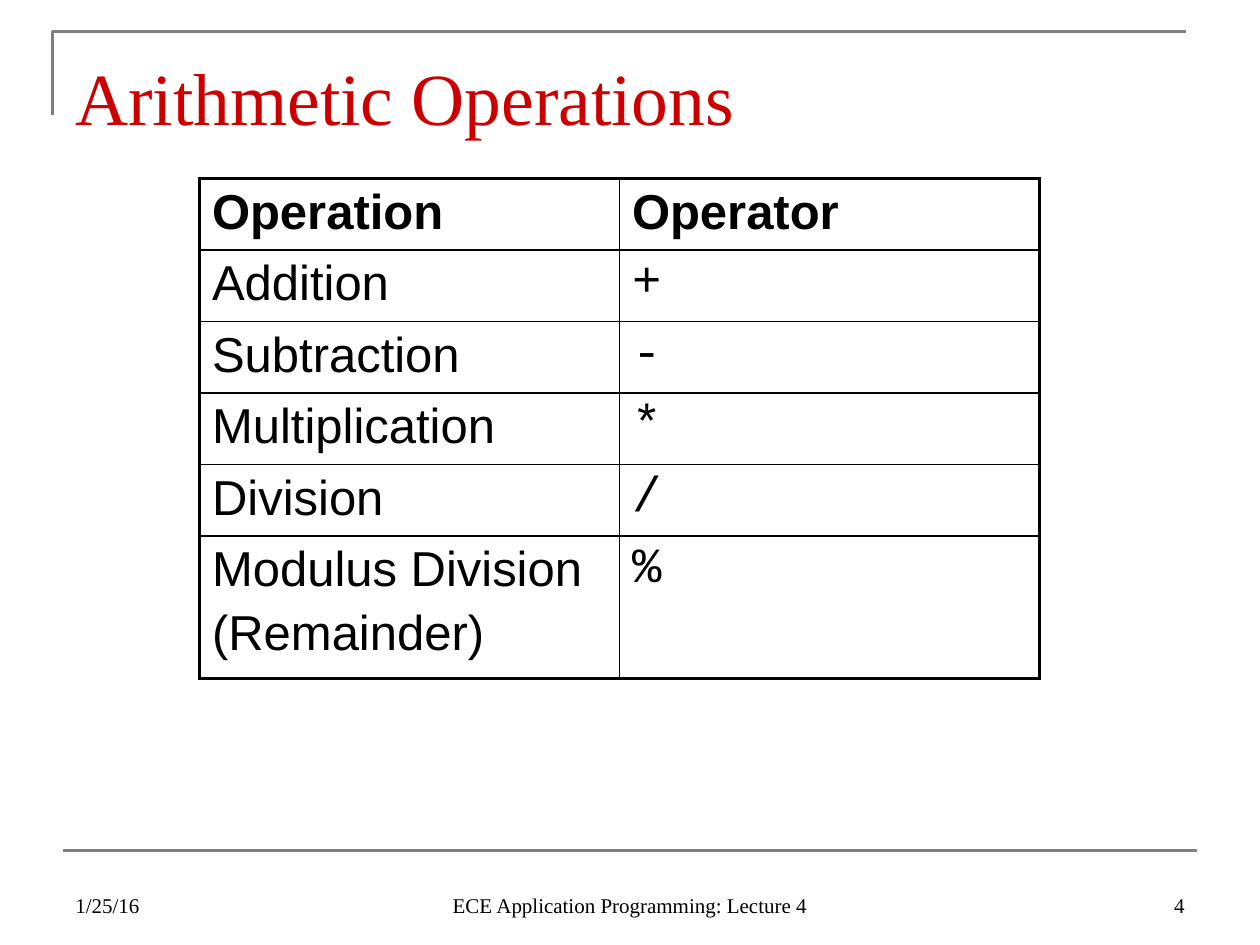
from lxml.etree import SubElement
from pptx import Presentation
from pptx.dml.color import RGBColor
from pptx.enum.shapes import MSO_CONNECTOR
from pptx.enum.text import MSO_ANCHOR, PP_ALIGN
from pptx.oxml.ns import qn
from pptx.util import Pt

COLORS = {"text": "000000", "title": "CC0000", "rule": "808080", "border": "000000"}
SERIF, SANS, MONO = "Times New Roman", "Arial", "Courier New"
TITLE = {"name": SERIF, "size": Pt(42)}
FOOTER = {"name": SERIF, "size": Pt(12)}
HEADER = {"name": SANS, "size": Pt(28), "bold": True}
LABEL = {"name": SANS, "size": Pt(28), "bold": False}
SYMBOL = {"name": MONO, "size": Pt(28), "bold": False}
ROWS = [
    ("Operation", "Operator"),
    ("Addition", "+"),
    ("Subtraction", "-"),
    ("Multiplication", "*"),
    ("Division", "/"),
    ("Modulus Division\n(Remainder)", "%"),
]


class SlideBuilder:
    def __init__(self, deck):
        self.page = deck.slides.add_slide(deck.slide_layouts[6])

    def paragraphs(self, frame, text, style, color="text", align=PP_ALIGN.LEFT):
        for index, line in enumerate(text.split("\n")):
            para = frame.add_paragraph() if index else frame.paragraphs[0]
            para.alignment = align
            if index:
                para.space_before = Pt(5.6)
            span = para.add_run()
            span.text = line
            for name, value in style.items():
                setattr(span.font, name, value)
            span.font.color.rgb = RGBColor.from_string(COLORS[color])

    def text(self, area, text, style, color="text", align=PP_ALIGN.LEFT,
             anchor=MSO_ANCHOR.BOTTOM, inset=3.6):
        box = self.page.shapes.add_textbox(*map(Pt, area))
        frame = box.text_frame
        frame.word_wrap = True
        frame.vertical_anchor = anchor
        frame.margin_top = Pt(inset)
        self.paragraphs(frame, text, style, color, align)

    def stroke(self, line):
        line.color.rgb = RGBColor.from_string(COLORS["rule"])
        line.width = Pt(1.5)

    def rule(self, left, top, right, bottom):
        line = self.page.shapes.add_connector(
            MSO_CONNECTOR.STRAIGHT, *map(Pt, (left, top, right, bottom)))
        self.stroke(line.line)
        SubElement(line._element.spPr, qn("a:effectLst"))

    def outline(self, start, *points):
        builder = self.page.shapes.build_freeform(*map(Pt, start))
        builder.add_line_segments([tuple(map(Pt, point)) for point in points], close=False)
        shape = builder.convert_to_shape()
        shape.shadow.inherit = False
        shape.fill.background()
        self.stroke(shape.line)

    def borders(self, cell, widths):
        properties = cell._tc.get_or_add_tcPr()
        for side, width in widths.items():
            edge = SubElement(properties, qn(f"a:ln{side}"), w=str(Pt(width)))
            fill = SubElement(edge, qn("a:solidFill"))
            SubElement(fill, qn("a:srgbClr"), val=COLORS["border"])

    def table(self, left, top, rows, widths, heights):
        area = map(Pt, (left, top, sum(widths), sum(heights)))
        table = self.page.shapes.add_table(len(rows), len(widths), *area).table
        table.first_row = table.horz_banding = False
        for column, width in zip(table.columns, widths):
            column.width = Pt(width)
        last_row, last_column = len(rows) - 1, len(widths) - 1
        for r, values in enumerate(rows):
            table.rows[r].height = Pt(heights[r])
            for c, value in enumerate(values):
                cell = table.cell(r, c)
                style = HEADER if r == 0 else (LABEL, SYMBOL)[c]
                self.paragraphs(cell.text_frame, value, style)
                outer = {"L": c == 0, "R": c == last_column, "T": r == 0, "B": r == last_row}
                self.borders(cell, {side: 2.25 if edge else 1 for side, edge in outer.items()})
                cell.fill.background()


def main():
    deck = Presentation()
    deck.slide_width, deck.slide_height = Pt(720), Pt(540)
    slide = SlideBuilder(deck)
    slide.outline((30, 66), (30, 18), (678, 18))
    slide.rule(36, 486, 684, 486)
    slide.text((36, 21.6, 648, 56), "Arithmetic Operations", TITLE, "title",
               anchor=MSO_ANCHOR.TOP, inset=8.4)
    slide.table(114, 102, ROWS, [240] * 2, [40.7] * 5 + [81.5])
    footers = [
        (36, 168, "1/25/16", PP_ALIGN.LEFT),
        (246, 228, "ECE Application Programming: Lecture 4", PP_ALIGN.CENTER),
        (516, 168, "4", PP_ALIGN.RIGHT),
    ]
    for left, width, text, align in footers:
        slide.text((left, 492, width, 36), text, FOOTER, align=align)
    deck.save("out.pptx")


if __name__ == "__main__":
    main()
